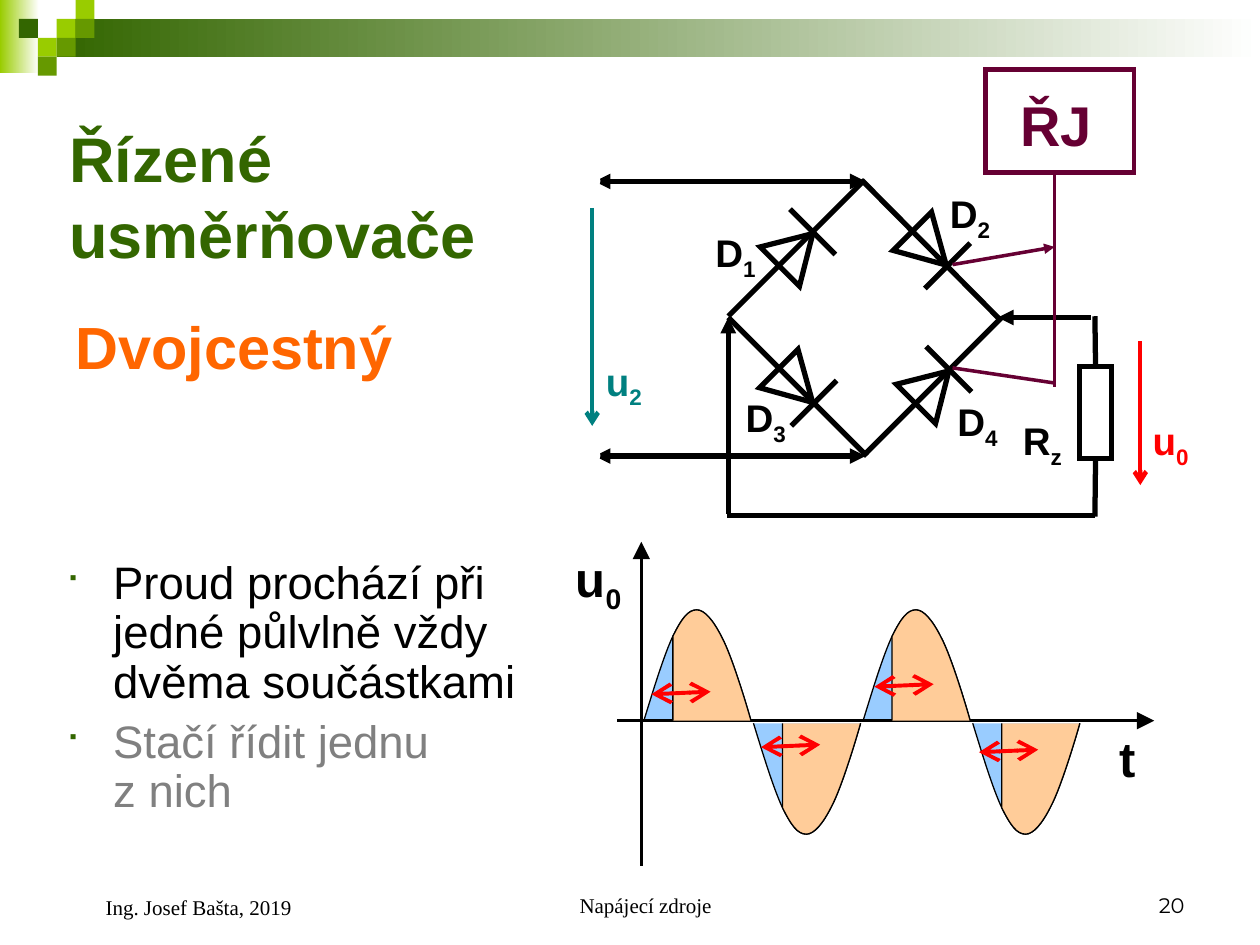
from typing import NamedTuple

from lxml import etree
from pptx import Presentation
from pptx import util as u
from pptx.dml.color import RGBColor
from pptx.enum import shapes, text
from pptx.oxml import ns

BLACK, RED, TEAL, WINE = "000000", "FF0000", "008080", "660033"
WHITE, DARK, MIDDLE, LIME = "FFFFFF", "336600", "669900", "99CC00"
SHAPE, ALIGN, ANCHOR = shapes.MSO_SHAPE, text.PP_ALIGN, text.MSO_ANCHOR


class Line(NamedTuple):
    start: tuple
    end: tuple
    color: str = BLACK
    width: float = 3
    head: str = ""
    tail: str = ""
    tip: str = "med"


class Label(NamedTuple):
    name: str
    subscript: str
    box: tuple
    size: int = 22
    color: str = BLACK


class Diode(NamedTuple):
    box: tuple
    rotation: int
    bar_start: tuple
    bar_end: tuple


def rgb(color: str) -> RGBColor:
    return RGBColor.from_string(color)


def add_element(parent, tag: str, **attributes: str):
    element = etree.SubElement(parent, ns.qn(tag))
    for key, value in attributes.items():
        element.set(key, value)
    return element


def draw_line(slide, line: Line):
    ends = [u.Inches(value) for value in (*line.start, *line.end)]
    connector = slide.shapes.add_connector(shapes.MSO_CONNECTOR.STRAIGHT, *ends)
    connector.line.color.rgb = rgb(line.color)
    connector.line.width = u.Pt(line.width)
    outline = connector.line._get_or_add_ln()
    for tag, kind in (("a:headEnd", line.head), ("a:tailEnd", line.tail)):
        if kind:
            add_element(outline, tag, type=kind, w=line.tip, len=line.tip)
    add_element(connector._element.spPr, "a:effectLst")
    return connector


def style_shape(shape, fill: str = "", outline: str = "", width: float = 3):
    shape.shadow.inherit = False
    if fill:
        shape.fill.solid()
        shape.fill.fore_color.rgb = rgb(fill)
    else:
        shape.fill.background()
    if outline:
        shape.line.color.rgb = rgb(outline)
        shape.line.width = u.Pt(width)
        add_element(shape.line._get_or_add_ln(), "a:miter", lim="800000")
    else:
        shape.line.fill.background()
    return shape


def draw_shape(slide, kind, box: tuple, **style):
    shape = slide.shapes.add_shape(kind, *map(u.Inches, box))
    return style_shape(shape, **style)


def write(paragraph, content: str, *, size: float, color: str, font: str = "Arial",
          bold: bool = False, subscript: str = "", align=ALIGN.LEFT, indent: float = 0):
    paragraph.alignment = align
    if indent:
        paragraph._p.get_or_add_pPr().set("marL", str(u.Inches(indent)))
    for index, line in enumerate(content.split("\n")):
        if index:
            paragraph.add_line_break()
        paragraph.add_run().text = line
    if subscript:
        run = paragraph.add_run()
        run.text = subscript
        run._r.get_or_add_rPr().set("baseline", "-25000")
    for run in paragraph.runs:
        run.font.size, run.font.bold, run.font.name = u.Pt(size), bold, font
        run.font.color.rgb = rgb(color)


def add_text(slide, box: tuple, content: str, *, anchor=ANCHOR.TOP, **style):
    frame = slide.shapes.add_textbox(*map(u.Inches, box)).text_frame
    frame.word_wrap, frame.vertical_anchor = True, anchor
    write(frame.paragraphs[0], content, **style)
    return frame


def draw_label(slide, label: Label):
    add_text(slide, label.box, label.name, subscript=label.subscript,
             size=label.size, color=label.color, bold=True)


def draw_wave(slide, points: list, left: float, base: float, sign: int, fill: str,
              straight: int = 0):
    """Draw some straight segments, then cubic curves of three points each."""
    places = [(round(1000 * (left + x)), round(1000 * (base - sign * y))) for x, y in points]
    builder = slide.shapes.build_freeform(*places[0], scale=u.Inches(1) / 1000)
    builder.add_line_segments(places[1:], close=False)
    shape = style_shape(builder.convert_to_shape(), fill=fill, outline=BLACK, width=0.75)
    segments = list(shape._element.iter(ns.qn("a:lnTo")))[straight:]
    outline = segments[0].getparent()
    for first in range(0, len(segments), 3):
        curve = add_element(outline, "a:cubicBezTo")
        for segment in segments[first:first + 3]:
            curve.append(segment[0])
            outline.remove(segment)


def draw_banner(slide):
    for box, color in (((0, 0, 0.31, 0.58), LIME), ((0.45, 0.15, 9.55, 0.3), DARK)):
        bar = draw_shape(slide, SHAPE.RECTANGLE, box)
        bar.fill.gradient()
        bar.fill.gradient_angle = 180
        for stop, stop_color in zip(bar.fill.gradient_stops, (WHITE, color)):
            stop.color.rgb = rgb(stop_color)
    tiles = [(3, 1, LIME), (4, 0, LIME), (4, 1, MIDDLE), (2, 2, LIME),
             (1, 1, DARK), (3, 2, MIDDLE), (2, 3, MIDDLE)]
    for column, row, color in tiles:
        draw_shape(slide, SHAPE.RECTANGLE, (column * 0.15, row * 0.15, 0.15, 0.15), fill=color)


def draw_texts(slide):
    title = slide.shapes.title
    title.left, title.top, title.width, title.height = map(u.Inches, (0.45, 0.83, 3.83, 1.44))
    title.text_frame.auto_size = text.MSO_AUTO_SIZE.NONE
    title.text_frame.vertical_anchor = ANCHOR.MIDDLE
    write(title.text_frame.paragraphs[0], "Řízené usměrňovače", size=36, color=DARK, bold=True)
    add_text(slide, (0.5, 2.37, 3.25, 0.75), "Dvojcestný", size=34, color="FF6600",
             bold=True, anchor=ANCHOR.MIDDLE)

    frame = add_text(slide, (0.42, 4.4, 3.92, 2.35),
                     "Proud prochází při jedné půlvlně vždy dvěma součástkami",
                     size=26, color=BLACK, indent=0.38)
    second = frame.add_paragraph()
    write(second, "Stačí řídit jednu \nz nich", size=26, color="808080", indent=0.38)
    second.space_before = u.Pt(6.5)
    for paragraph in frame.paragraphs:
        paragraph.line_spacing = 0.9
        properties = paragraph._p.get_or_add_pPr()
        properties.set("indent", str(u.Inches(-0.38)))
        add_element(add_element(properties, "a:buClr"), "a:srgbClr", val=DARK)
        add_element(properties, "a:buSzPct", val="75000")
        add_element(properties, "a:buFont", typeface="Wingdings", charset="2")
        add_element(properties, "a:buChar", char="■")

    # Footer
    footer = dict(size=12, color=BLACK, anchor=ANCHOR.BOTTOM)
    add_text(slide, (3.42, 6.83, 3.17, 0.5), "Napájecí zdroje", font="Times New Roman",
             align=ALIGN.CENTER, indent=0.24, **footer)
    add_text(slide, (7.17, 6.83, 2.33, 0.5), "20", font="Montserrat", align=ALIGN.RIGHT, **footer)
    add_text(slide, (0.5, 6.83, 2.33, 0.52), "Ing. Josef Bašta, 2019",
             font="Times New Roman", indent=0.24, **footer)


def draw_graph(slide):
    rise = [(0, 0), (0.08, 0.26), (0.16, 0.52), (0.23, 0.67)]
    fall = [(0.23, 0.67), (0.3, 0.81), (0.35, 0.88), (0.42, 0.88), (0.48, 0.88),
            (0.55, 0.8), (0.62, 0.66), (0.7, 0.51), (0.82, 0.11), (0.85, 0)]
    half_waves = [(5.11 + 0.87 * i, 5.72 + 0.02 * (i % 2), 1 - 2 * (i % 2)) for i in range(4)]
    for left, base, sign in half_waves:
        draw_wave(slide, rise + fall[1:], left, base, sign, "99CCFF")
    draw_line(slide, Line((4.9, 5.72), (9.16, 5.72), width=1.5, tail="triangle", tip="lg"))
    draw_line(slide, Line((5.09, 6.87), (5.09, 4.3), width=1.5, tail="triangle", tip="lg"))
    for left, base, sign in half_waves:
        draw_wave(slide, [(0.23, 0)] + fall, left, base, sign, "FFCC99", straight=1)
    for x, y in ((5.17, 5.51), (6.04, 5.93), (7.77, 5.97), (6.94, 5.45)):
        draw_line(slide, Line((x, y), (x + 0.47, y - 0.02), RED, 2.25, "arrow", "arrow", "lg"))
    draw_label(slide, Label("u", "0", (4.47, 4.3, 0.71, 0.63), 28))
    draw_label(slide, Label("t", "", (8.79, 5.73, 0.48, 0.57), 28))


def draw_circuit(slide):
    # Input terminals
    for y in (1.44, 3.62):
        draw_line(slide, Line((4.72, y), (6.87, y), head="triangle", tail="triangle"))
        draw_shape(slide, SHAPE.OVAL, (4.67, y - 0.05, 0.09, 0.09),
                   fill=WHITE, outline=WHITE, width=0.75)
    # Load resistor with its two leads
    load = draw_shape(slide, SHAPE.RECTANGLE, (8.57, 2.91, 0.25, 0.73), outline=BLACK)
    draw_line(slide, Line((8.69, 2.51), (8.69, 2.91))).end_connect(load, 0)
    draw_line(slide, Line((8.69, 3.64), (8.69, 4.1))).begin_connect(load, 2)
    # Diode bridge
    diodes = [Diode((7.16, 1.78, 0.43, 0.38), 135, (7.7, 1.93), (7.34, 2.29)),
              Diode((7.18, 2.89, 0.44, 0.37), 45, (7.35, 2.75), (7.71, 3.11)),
              Diode((6.1, 1.8, 0.44, 0.37), 45, (6.27, 1.66), (6.63, 2.02)),
              Diode((6.1, 2.87, 0.43, 0.38), 135, (6.64, 3.02), (6.28, 3.38))]
    for diode in diodes:
        triangle = draw_shape(slide, SHAPE.ISOSCELES_TRIANGLE, diode.box, outline=BLACK)
        triangle.rotation = diode.rotation
        draw_line(slide, Line(diode.bar_start, diode.bar_end))
    # Bridge sides, output wires, voltage arrows and control wires
    for line in (Line((6.84, 1.43), (7.93, 2.53)), Line((6.87, 3.6), (7.95, 2.52)),
                 Line((5.78, 2.51), (6.86, 1.43)), Line((5.78, 2.52), (6.88, 3.62)),
                 Line((7.92, 2.52), (8.66, 2.52), head="triangle"),
                 Line((5.78, 2.52), (5.78, 4.08), head="triangle"),
                 Line((5.77, 4.09), (8.69, 4.09)),
                 Line((4.7, 1.65), (4.7, 3.38), TEAL, 2.5, tail="arrow"),
                 Line((9.05, 2.71), (9.05, 3.85), RED, 2.5, tail="arrow"),
                 Line((7.56, 2.1), (8.37, 1.96), WINE, 2, tail="triangle"),
                 Line((7.56, 2.92), (8.37, 3.04), WINE, 2),
                 Line((8.37, 3.07), (8.37, 1.39), WINE, 2)):
        draw_line(slide, line)
    draw_shape(slide, SHAPE.RECTANGLE, (7.82, 0.55, 1.18, 0.82), outline=WINE, width=2.75)
    for label in (Label("D", "1", (5.58, 1.77, 0.58, 0.52)), Label("D", "2", (7.44, 1.46, 0.58, 0.52)),
                  Label("D", "3", (5.82, 3.08, 0.58, 0.52)), Label("D", "4", (7.5, 3.11, 0.58, 0.52)),
                  Label("R", "z", (8.02, 3.26, 0.53, 0.52)),
                  Label("u", "2", (4.71, 2.79, 0.6, 0.52), color=TEAL),
                  Label("u", "0", (9.05, 3.26, 0.71, 0.52), color=RED),
                  Label("ŘJ", "", (8, 0.67, 0.98, 0.64), 32, WINE)):
        draw_label(slide, label)


def main():
    presentation = Presentation()
    presentation.slide_width, presentation.slide_height = u.Inches(10), u.Inches(7.5)
    slide = presentation.slides.add_slide(presentation.slide_layouts[5])
    draw_banner(slide)
    draw_texts(slide)
    draw_graph(slide)
    draw_circuit(slide)
    presentation.save("out.pptx")


if __name__ == "__main__":
    main()
